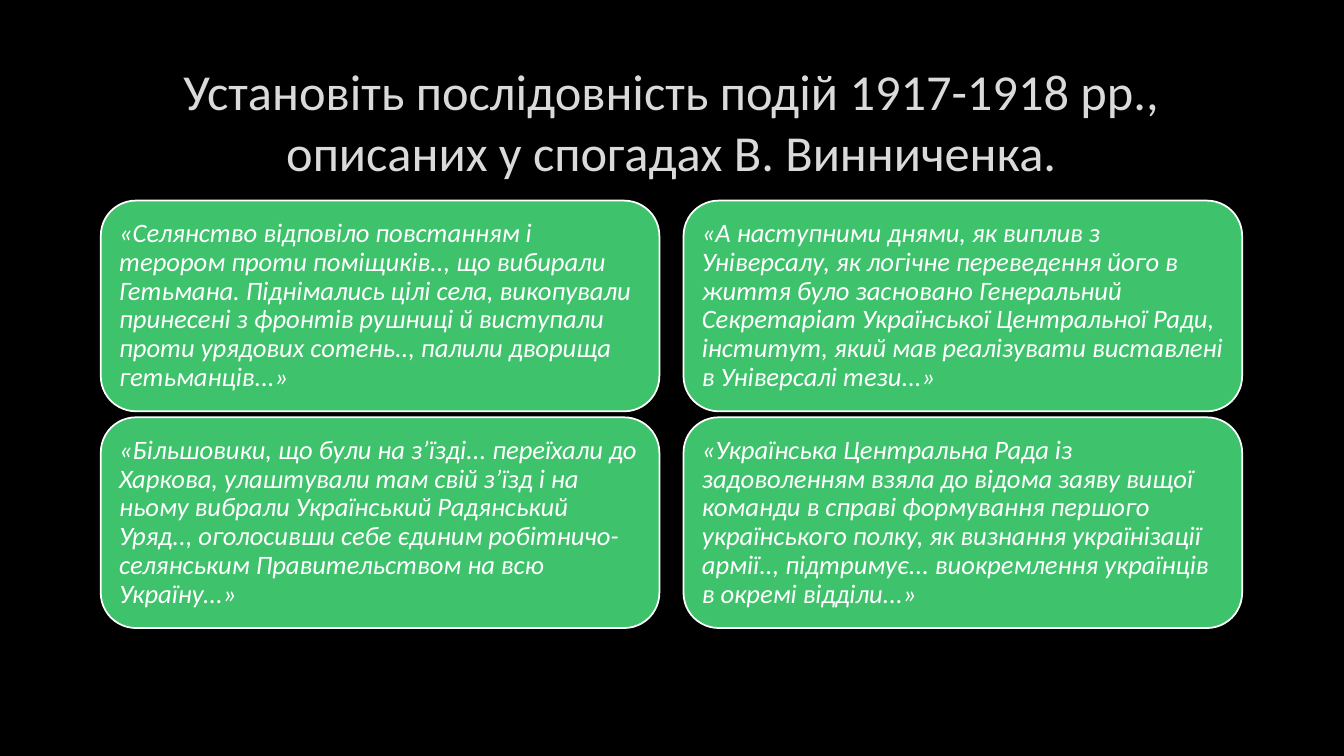
from dataclasses import dataclass
from itertools import product

from lxml.etree import SubElement
from pptx import Presentation
from pptx.dml.color import RGBColor
from pptx.enum.shapes import MSO_SHAPE as Shape
from pptx.enum.text import MSO_ANCHOR as Anchor, PP_ALIGN as Align
from pptx.oxml.ns import qn
from pptx.util import Inches, Pt

TITLE = "Установіть послідовність подій 1917-1918 рр., описаних у спогадах В. Винниченка."
MEMOIRS = [
    "«Селянство відповіло повстанням і терором проти поміщиків.., що вибирали Гетьмана. "
    "Піднімались цілі села, викопували принесені з фронтів рушниці й виступали проти "
    "урядових сотень.., палили дворища гетьманців...»",
    "«Більшовики, що були на з’їзді... переїхали до Харкова, улаштували там свій з’їзд "
    "і на ньому вибрали Український Радянський Уряд.., оголосивши себе єдиним "
    "робітничо-селянським Правительством на всю Україну...»",
    "«А наступними днями, як виплив з Універсалу, як логічне переведення його в життя "
    "було засновано Генеральний Секретаріат Української Центральної Ради, інститут, "
    "який мав реалізувати виставлені в Універсалі тези...»",
    "«Українська Центральна Рада із задоволенням взяла до відома заяву вищої команди "
    "в справі формування першого українського полку, як визнання українізації армії.., "
    "підтримує... виокремлення українців в окремі відділи...»",
]


@dataclass(frozen=True)
class Theme:
    """Colours, font and type sizes of the slide."""
    font: str = "Calibri"
    background: str = "000000"
    title: str = "DADADA"
    title_outline: str = "404040"
    card: str = "3EC26C"
    light: str = "FFFFFF"
    title_size: float = 36
    card_size: float = 19


class SlideBuilder:
    """Draws themed elements on one slide."""

    def __init__(self, slide, theme):
        """Keep the slide and theme and paint the background."""
        self.slide, self.theme = slide, theme
        self.fill(slide.background.fill, theme.background)

    def fill(self, fill, color):
        """Apply a solid colour to a fill."""
        fill.solid()
        fill.fore_color.rgb = RGBColor.from_string(color)

    def add_text(self, shape, text, color, inset, paragraph_format, font_format):
        """Put one styled paragraph in a shape and return its run."""
        frame = shape.text_frame
        frame_format = {"word_wrap": True, "vertical_anchor": Anchor.MIDDLE}
        for side in ("left", "top", "right", "bottom"):
            frame_format[f"margin_{side}"] = Inches(inset)
        paragraph = frame.paragraphs[0]
        run = paragraph.add_run()
        run.text = text
        font_format = {"name": self.theme.font, **font_format}
        for target, values in ((frame, frame_format), (paragraph, paragraph_format),
                               (run.font, font_format)):
            for name, value in values.items():
                setattr(target, name, value)
        self.fill(run.font.fill, color)
        return run

    def title(self, text, left, top, width, height):
        """Add the centred title with a faint letter outline."""
        theme = self.theme
        box = self.slide.shapes.add_textbox(*map(Inches, (left, top, width, height)))
        run = self.add_text(box, text, theme.title, 0.05, {"alignment": Align.CENTER},
                            {"size": Pt(theme.title_size)})
        properties = run._r.get_or_add_rPr()
        outline = SubElement(properties, qn("a:ln"), w=str(Pt(0.75)))
        properties.insert(0, outline)
        color = SubElement(SubElement(outline, qn("a:solidFill")), qn("a:srgbClr"),
                           val=theme.title_outline)
        SubElement(color, qn("a:alpha"), val="10000")

    def card(self, text, left, top, width, height):
        """Add a rounded card holding one quotation."""
        theme = self.theme
        card = self.slide.shapes.add_shape(
            Shape.ROUNDED_RECTANGLE, *map(Inches, (left, top, width, height)))
        card.shadow.inherit = False
        self.fill(card.fill, theme.card)
        self.fill(card.line.fill, theme.light)
        card.line.width = Pt(1.25)
        self.add_text(card, text, theme.light, 0.08,
                      {"alignment": Align.LEFT, "line_spacing": 0.9},
                      {"size": Pt(theme.card_size), "italic": True})


def main():
    """Build and save the presentation."""
    presentation = Presentation()
    presentation.slide_width, presentation.slide_height = Inches(13.33), Inches(7.5)
    slide = presentation.slides.add_slide(presentation.slide_layouts[6])
    builder = SlideBuilder(slide, Theme())
    builder.title(TITLE, 1, 0.67, 11.32, 1.06)
    for text, (left, top) in zip(MEMOIRS, product((1, 6.78), (1.99, 4.14))):
        builder.card(text, left, top, 5.54, 2.09)
    presentation.save("out.pptx")


if __name__ == "__main__":
    main()
